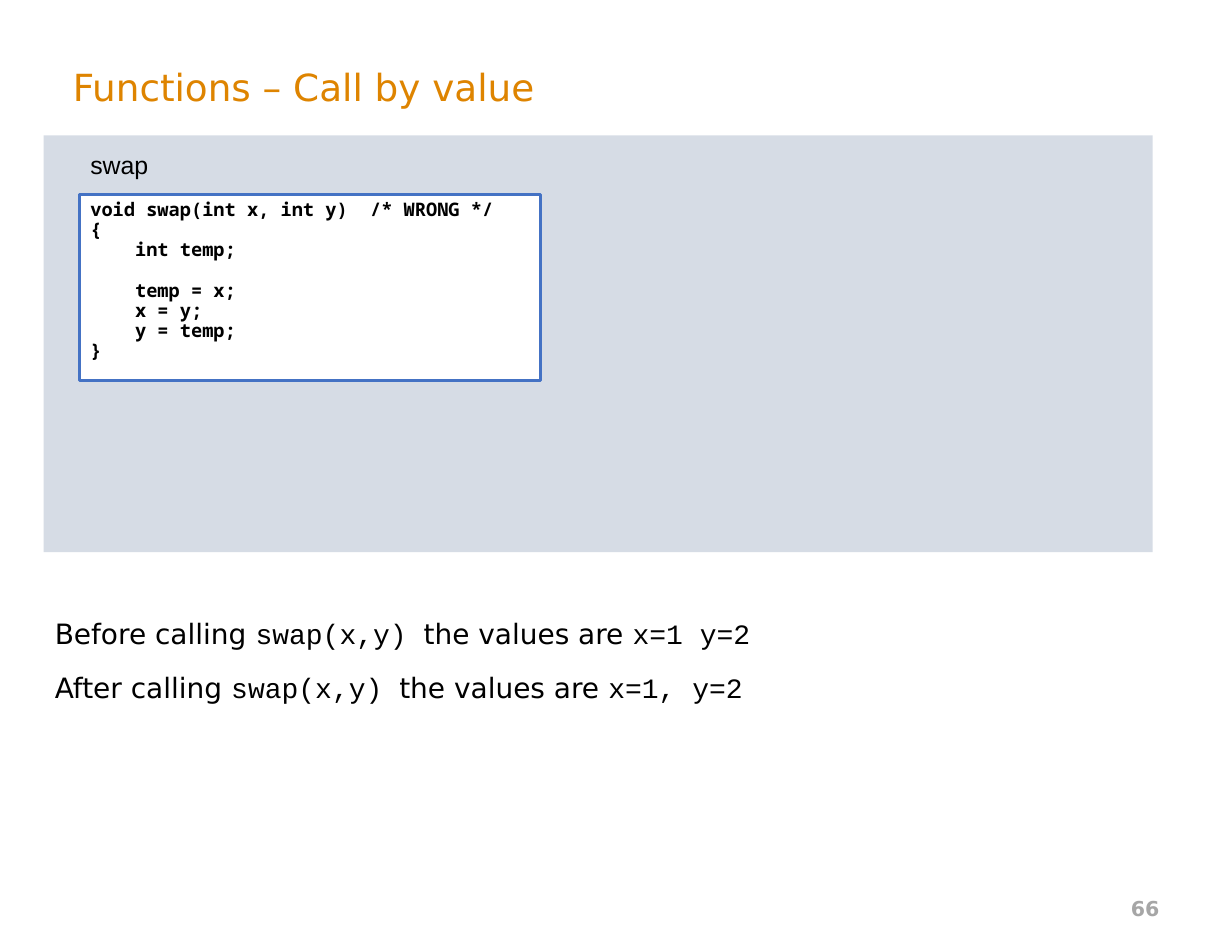
from pptx import Presentation
from pptx.dml.color import RGBColor
from pptx.enum.shapes import MSO_SHAPE
from pptx.enum.text import MSO_ANCHOR, MSO_AUTO_SIZE, PP_ALIGN
from pptx.util import Pt
from lxml.etree import SubElement
from pptx.oxml.ns import qn

ORANGE = RGBColor(0xDE, 0x84, 0x00)
BLACK = RGBColor(0, 0, 0)
WHITE = RGBColor(0xFF, 0xFF, 0xFF)
GRAY = RGBColor(0xA6, 0xA6, 0xA6)
PANEL = RGBColor(0xD6, 0xDC, 0xE5)
BLUE = RGBColor(0x44, 0x72, 0xC4)

SANS = "DejaVu Sans"
MONO = "Courier New"

CODE = """void swap(int x, int y)  /* WRONG */
{
    int temp;

    temp = x;
    x = y;
    y = temp;
}"""

# Each line alternates plain words and code.
LINES = [
    ["Before calling ", "swap(x,y) ", "the values are ", "x=1 y=2"],
    ["After calling ", "swap(x,y) ", "the values are ", "x=1, y=2"],
]


def place(shape, left, top, width, height):
    shape.left, shape.top = Pt(left), Pt(top)
    shape.width, shape.height = Pt(width), Pt(height)


def style(font, name, size, color, bold=False):
    font.name, font.size, font.bold = name, Pt(size), bold
    font.color.rgb = color


def add_title(slide, text):
    title = slide.shapes.title
    place(title, 39.6, 24.5, 712.8, 62.6)
    frame = title.text_frame
    frame.text = text
    frame.auto_size = MSO_AUTO_SIZE.NONE
    frame.vertical_anchor = MSO_ANCHOR.MIDDLE
    para = frame.paragraphs[0]
    para.alignment = PP_ALIGN.LEFT
    style(para.font, SANS, 24, ORANGE)


def add_body(slide, lines):
    body = slide.placeholders[1]
    place(body, 28, 392.4, 745.2, 195)
    frame = body.text_frame
    frame.auto_size = MSO_AUTO_SIZE.NONE
    for i, line in enumerate(lines):
        para = frame.add_paragraph() if i else frame.paragraphs[0]
        para.space_before = Pt(13.2 if i else 0)
        props = para._p.get_or_add_pPr()
        props.set("marL", "0")
        props.set("indent", "0")
        SubElement(props, qn("a:buNone"))
        for j, part in enumerate(line):
            run = para.add_run()
            run.text = part
            style(run.font, MONO if j % 2 else SANS, 18, BLACK)


def add_rect(slide, box, fill, line=None):
    rect = slide.shapes.add_shape(MSO_SHAPE.RECTANGLE, *map(Pt, box))
    rect.shadow.inherit = False
    rect.fill.solid()
    rect.fill.fore_color.rgb = fill
    if line is None:
        rect.line.fill.background()
    else:
        rect.line.color.rgb = line
        rect.line.width = Pt(2)
    return rect


def add_code(slide, box, code):
    frame = add_rect(slide, box, WHITE, BLUE).text_frame
    frame.vertical_anchor = MSO_ANCHOR.TOP
    para = frame.paragraphs[0]
    para.text = code.replace("\n", "\v")
    para.alignment = PP_ALIGN.LEFT
    para.line_spacing = 0.9
    style(para.font, "Noto Sans Mono", 12, BLACK, True)


def add_label(slide, box, text):
    frame = slide.shapes.add_textbox(*map(Pt, box)).text_frame
    frame.text = text
    para = frame.paragraphs[0]
    para.line_spacing = 0.9
    style(para.font, "Arial", 16, BLACK)


def add_number(slide, box, text):
    frame = slide.shapes.add_textbox(*map(Pt, box)).text_frame
    frame.text = text
    frame.word_wrap = True
    frame.vertical_anchor = MSO_ANCHOR.MIDDLE
    para = frame.paragraphs[0]
    para.alignment = PP_ALIGN.RIGHT
    style(para.font, SANS, 13.2, GRAY, True)


def main():
    deck = Presentation()
    deck.slide_width, deck.slide_height = Pt(792), Pt(612)
    slide = deck.slides.add_slide(deck.slide_layouts[1])
    add_title(slide, "Functions – Call by value")
    add_body(slide, LINES)
    add_number(slide, (567.4, 567.4, 185, 32.4), "66")
    add_rect(slide, (28, 87, 713, 268), PANEL)
    add_code(slide, (51, 125.3, 296.6, 119.5), CODE)
    add_label(slide, (51, 95, 51.8, 24.5), "swap")
    deck.save("out.pptx")


if __name__ == "__main__":
    main()
